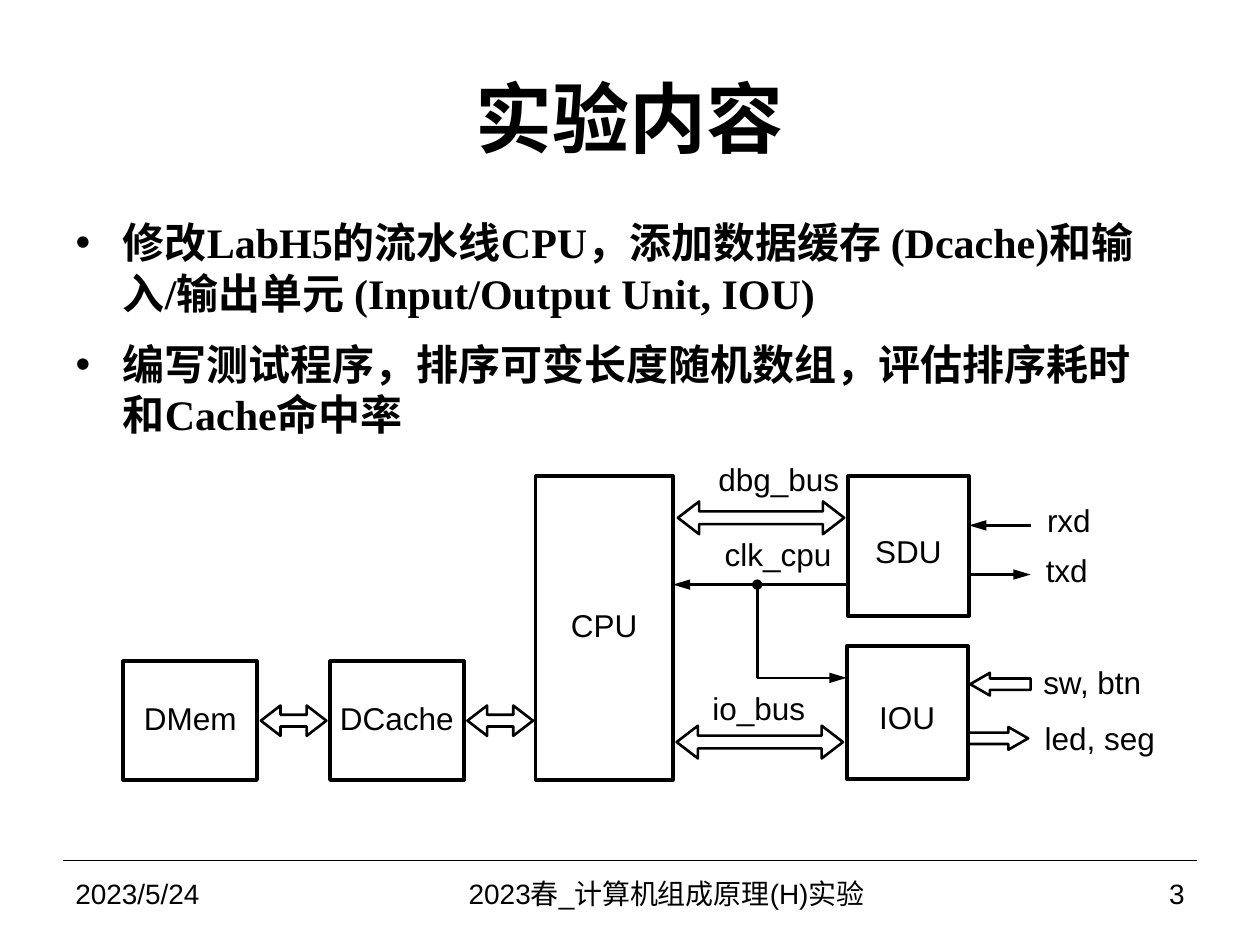
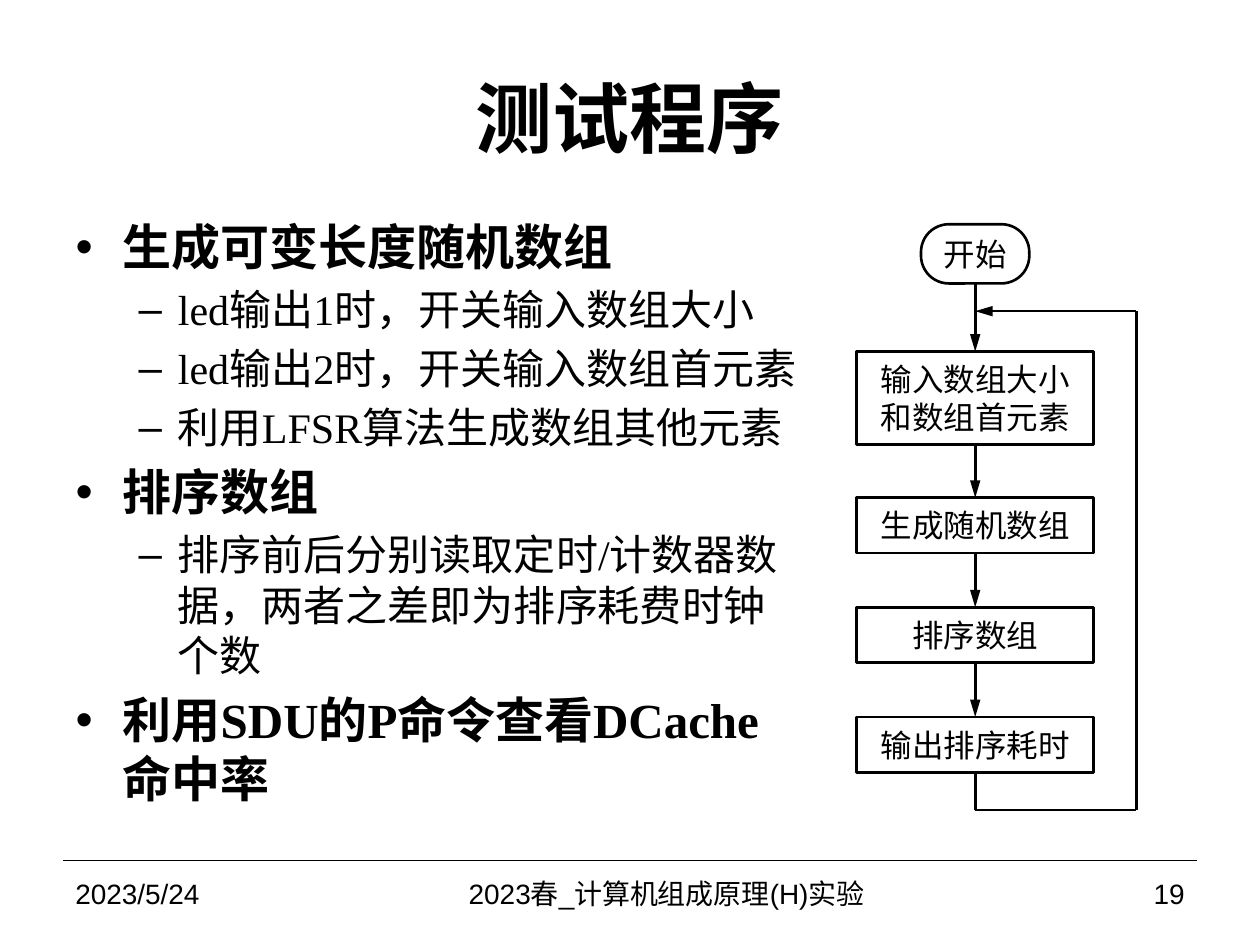
from dataclasses import dataclass
from itertools import pairwise

from lxml.etree import SubElement
from pptx import Presentation
from pptx.dml.color import RGBColor
from pptx.enum.shapes import MSO_CONNECTOR, MSO_SHAPE
from pptx.enum.text import MSO_ANCHOR, MSO_AUTO_SIZE, PP_ALIGN
from pptx.oxml.ns import qn
from pptx.util import Inches, Pt


@dataclass(frozen=True)
class Theme:
    ink: RGBColor = RGBColor(0, 0, 0)
    sans: str = "Arial"
    serif: str = "Times New Roman"
    title_size: int = 44
    topic_size: int = 28
    detail_size: int = 24
    diagram_size: int = 18
    footer_size: int = 16
    rule_width: float = 0.75
    line_width: float = 1.5
    block_width: float = 2.25


THEME = Theme()
BOTTOM, TOP = 2, 0
DATE = "2023/5/24"
COURSE = "2023春_计算机组成原理(H)实验"


# --- Text and line helpers ---
def inches(*lengths):
    return [Inches(length) for length in lengths]


def place(shape, box):
    shape.left, shape.top, shape.width, shape.height = inches(*box)


def format_paragraph(paragraph, size, font, bold=False, align=None):
    paragraph.alignment = align
    for run in paragraph.runs:
        run.font.size = Pt(size)
        run.font.name = font
        run.font.bold = bold
        run.font.color.rgb = THEME.ink


def set_insets(text_frame, left=0, top=0, right=0, bottom=0):
    text_frame.margin_left, text_frame.margin_top = inches(left, top)
    text_frame.margin_right, text_frame.margin_bottom = inches(right, bottom)


def write(shape, text, size, font, align, wrap=True):
    text_frame = shape.text_frame
    text_frame.text = text
    text_frame.word_wrap = wrap
    text_frame.vertical_anchor = MSO_ANCHOR.MIDDLE
    format_paragraph(text_frame.paragraphs[0], size, font, align=align)
    return text_frame


def add_line(shapes, start, end, head=None, tail=None, width=THEME.line_width):
    connector = shapes.add_connector(
        MSO_CONNECTOR.STRAIGHT, *inches(*start), *inches(*end))
    connector.line.color.rgb = THEME.ink
    connector.line.width = Pt(width)
    outline = connector.line._get_or_add_ln()
    for tag, kind in (("a:headEnd", head), ("a:tailEnd", tail)):
        if kind:
            length = "lg" if kind == "triangle" else "med"
            SubElement(outline, qn(tag), type=kind, w="med", len=length)
    SubElement(connector._element.spPr, qn("a:effectLst"))
    return connector


def add_outline(shapes, kind, box, width=THEME.line_width, adjustments=()):
    shape = shapes.add_shape(kind, *inches(*box))
    shape.shadow.inherit = False
    shape.fill.background()
    shape.line.color.rgb = THEME.ink
    shape.line.width = Pt(width)
    for index, value in enumerate(adjustments):
        shape.adjustments[index] = value
    return shape


# --- Diagram elements ---
def add_block(shapes, name, box, top_inset=0):
    block = add_outline(shapes, MSO_SHAPE.RECTANGLE, box, THEME.block_width)
    text_frame = write(block, name, THEME.diagram_size, THEME.sans,
                       PP_ALIGN.CENTER, wrap=False)
    set_insets(text_frame, top=top_inset)
    text_frame.paragraphs[0].line_spacing = Pt(THEME.diagram_size)


def add_bus(shapes, box):
    add_outline(shapes, MSO_SHAPE.LEFT_RIGHT_ARROW, box, adjustments=(0.39, 0.65))


def add_label(shapes, text, box, align=PP_ALIGN.LEFT):
    label = shapes.add_textbox(*inches(*box))
    text_frame = write(label, text, THEME.diagram_size, THEME.sans, align, wrap=False)
    set_insets(text_frame)


def add_step(shapes, text, center, top, width, height, kind=MSO_SHAPE.RECTANGLE):
    step = add_outline(shapes, kind, (center - width / 2, top, width, height))
    text_frame = write(step, text, THEME.diagram_size, THEME.serif, PP_ALIGN.CENTER)
    set_insets(text_frame, left=0.08, right=0.08)
    return step


# --- Shared slide frame ---
def add_footer(slide, number):
    add_line(slide.shapes, (0.5, 6.83), (9.5, 6.83), width=THEME.rule_width)
    for text, left, width, align in (
        (DATE, 0.5, 2.33, PP_ALIGN.LEFT),
        (COURSE, 2.83, 4.92, PP_ALIGN.CENTER),
        (str(number), 7.75, 1.75, PP_ALIGN.RIGHT),
    ):
        box = slide.shapes.add_textbox(*inches(left, 6.83, width, 0.52))
        write(box, text, THEME.footer_size, THEME.sans, align)


def add_content_slide(presentation, title, number, body_box, items):
    """Each item is (text, level, size, space before)."""
    slide = presentation.slides.add_slide(presentation.slide_layouts[1])
    heading, body = slide.shapes.title, slide.placeholders[1]
    place(heading, (0.5, 0.3, 9, 1.25))
    heading.text_frame.text = title
    heading.text_frame.vertical_anchor = MSO_ANCHOR.MIDDLE
    format_paragraph(heading.text_frame.paragraphs[0], THEME.title_size,
                     THEME.sans, True, PP_ALIGN.CENTER)

    place(body, body_box)
    text_frame = body.text_frame
    text_frame.auto_size = MSO_AUTO_SIZE.NONE
    text_frame.text = "\n".join(item[0] for item in items)
    for paragraph, (_, level, size, space) in zip(text_frame.paragraphs, items):
        paragraph.level = level
        paragraph.space_before = Pt(space)
        format_paragraph(paragraph, size, THEME.serif, bold=level == 0)
    add_footer(slide, number)
    return slide


# --- Slide: lab content ---
def draw_system(shapes):
    # Functional units
    add_block(shapes, "CPU", (4.25, 3.78, 1.09, 2.41))
    add_block(shapes, "SDU", (6.73, 3.78, 0.96, 1.11), top_inset=0.12)
    add_block(shapes, "IOU", (6.72, 5.13, 0.96, 1.05), top_inset=0.12)
    for name, left in (("DMem", 0.98), ("DCache", 2.62)):
        add_block(shapes, name, (left, 5.25, 1.06, 0.94))

    # Buses
    for left in (2.07, 3.71):
        add_bus(shapes, (left, 5.6, 0.52, 0.24))
    for left, top in ((5.38, 3.98), (5.37, 5.76)):
        add_bus(shapes, (left, top, 1.32, 0.26))
    for text, left, top, width in (
        ("dbg_bus", 5.45, 3.65, 1.21),
        ("clk_cpu", 5.53, 4.25, 1.07),
        ("io_bus", 5.65, 5.47, 0.74),
    ):
        add_label(shapes, text, (left, top, width, 0.3), PP_ALIGN.RIGHT)

    # Clock, branching to the IOU
    add_line(shapes, (6.73, 4.64), (5.34, 4.64), tail="triangle")
    add_line(shapes, (6.01, 4.64), (6.01, 5.38), head="oval")
    add_line(shapes, (6.01, 5.38), (6.72, 5.38), tail="triangle")

    # External ports
    add_line(shapes, (8.18, 4.17), (7.69, 4.17), tail="triangle")
    add_line(shapes, (7.69, 4.56), (8.18, 4.56), tail="triangle")
    for kind, left, top in (
        (MSO_SHAPE.LEFT_ARROW, 7.7, 5.34),
        (MSO_SHAPE.RIGHT_ARROW, 7.68, 5.77),
    ):
        add_outline(shapes, kind, (left, top, 0.48, 0.18), adjustments=(0.5, 0.87))
    for text, left, top, width in (
        ("rxd", 8.31, 3.98, 0.35),
        ("txd", 8.3, 4.37, 0.34),
        ("sw, btn", 8.28, 5.26, 0.79),
        ("led, seg", 8.29, 5.71, 0.88),
    ):
        add_label(shapes, text, (left, top, width, 0.3))


def build_lab_slide(presentation):
    size = THEME.detail_size
    slide = add_content_slide(presentation, "实验内容", 3, (0.5, 1.67, 8.75, 2.15), [
        ("修改LabH5的流水线CPU，添加数据缓存 (Dcache)和输入/输出单元 "
         "(Input/Output Unit, IOU)", 0, size, 6),
        ("编写测试程序，排序可变长度随机数组，评估排序耗时和Cache命中率", 0, size, 12),
    ])
    draw_system(slide.shapes)


# --- Slide: test program ---
def draw_flowchart(shapes):
    center, step_width = 7.74, 1.88
    start = add_step(shapes, "开始", center, 1.78, 0.86, 0.47,
                     MSO_SHAPE.ROUNDED_RECTANGLE)
    start.adjustments[0] = 0.47
    steps = [start, add_step(shapes, "输入数组大小和数组首元素", center, 2.79,
                             step_width, 0.74)]
    for index, text in enumerate(("生成随机数组", "排序数组", "输出排序耗时")):
        steps.append(add_step(shapes, text, center, 3.95 + 0.87 * index,
                              step_width, 0.44))

    for upper, lower in pairwise(steps):
        arrow = add_line(shapes, (center, 2), (center, 3), tail="triangle")
        arrow.begin_connect(upper, BOTTOM)
        arrow.end_connect(lower, TOP)

    # Loop back to the input step
    corners = [(center, 6.13), (center, 6.43), (9.02, 6.43), (9.02, 2.47),
               (center, 2.47)]
    loop = [add_line(shapes, begin, end, tail="triangle" if end == corners[-1] else None)
            for begin, end in pairwise(corners)]
    loop[0].begin_connect(steps[-1], BOTTOM)


def build_test_slide(presentation):
    outline = [
        ("生成可变长度随机数组", 0),
        ("led输出1时，开关输入数组大小", 1),
        ("led输出2时，开关输入数组首元素", 1),
        ("利用LFSR算法生成数组其他元素", 1),
        ("排序数组", 0),
        ("排序前后分别读取定时/计数器数据，两者之差即为排序耗费时钟个数", 1),
        ("利用SDU的P命令查看DCache命中率", 0),
    ]
    sizes = (THEME.topic_size, THEME.detail_size)
    items = [(text, level, sizes[level], 0.2 * sizes[level]) for text, level in outline]
    slide = add_content_slide(presentation, "测试程序", 19, (0.5, 1.67, 6, 5.03), items)
    draw_flowchart(slide.shapes.add_group_shape().shapes)


def main():
    presentation = Presentation()
    presentation.slide_width, presentation.slide_height = inches(10, 7.5)
    build_lab_slide(presentation)
    build_test_slide(presentation)
    presentation.save("out.pptx")


if __name__ == "__main__":
    main()
